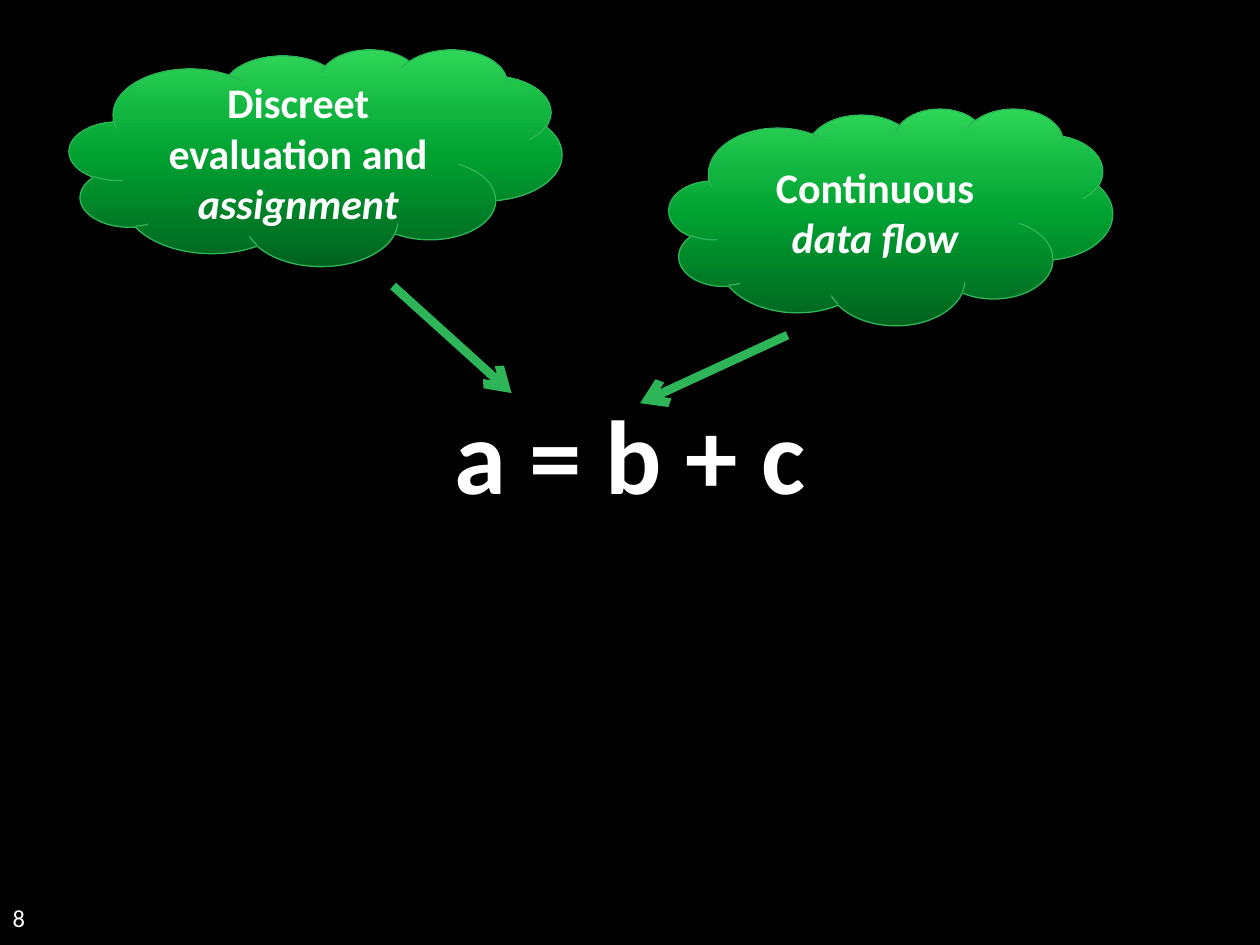
from dataclasses import dataclass
from lxml.etree import SubElement as Sub
from pptx import Presentation as Deck
from pptx.dml.color import RGBColor as Rgb
from pptx.enum.shapes import MSO_CONNECTOR as Link, MSO_SHAPE as Form
from pptx.enum.text import MSO_ANCHOR as Anchor, PP_ALIGN as Align
from pptx.oxml.ns import qn
from pptx.util import Inches, Pt


@dataclass(frozen=True)
class Theme:
    font: str = "Calibri"
    back: str = "000000"
    text: str = "FFFFFF"
    edge: str = "2DB557"
    fade: tuple = ((0, "00631F"), (50, "00A031"), (70, "10B43F"), (100, "2FD758"))
    small: int = 14
    label: int = 24
    large: int = 60
    thin: float = 0.75
    thick: float = 5


class Board:
    cols, rows = 100, 75

    def __init__(self, deck, theme):
        self.theme = theme
        self.wide = deck.slide_width / self.cols
        self.high = deck.slide_height / self.rows
        self.slide = deck.slides.add_slide(deck.slide_layouts[6])
        fill = self.slide.background.fill
        fill.solid()
        fill.fore_color.rgb = Rgb.from_string(theme.back)

    def place(self, *cells):
        units = (self.wide, self.high) * 2
        return [round(cell * unit) for cell, unit in zip(cells, units)]

    def letter(self, frame, lines, size, anchor, align, bold=True):
        frame.word_wrap = True
        frame.vertical_anchor = anchor
        for i, line in enumerate(lines):
            para = frame.add_paragraph() if i else frame.paragraphs[0]
            para.alignment = align
            for words, slant in line:
                run = para.add_run()
                run.text = words
                font = run.font
                font.name, font.size = self.theme.font, Pt(size)
                font.bold, font.italic = bold, slant
                font.color.rgb = Rgb.from_string(self.theme.text)

    def edge(self, line, width):
        line.width = Pt(width)
        line.color.rgb = Rgb.from_string(self.theme.edge)

    def text(self, cells, words, size, anchor, align, bold=True):
        frame = self.slide.shapes.add_textbox(*self.place(*cells)).text_frame
        frame.margin_left = frame.margin_right = 0
        frame.margin_top = frame.margin_bottom = 0
        self.letter(frame, [[(words, False)]], size, anchor, align, bold)
        return frame

    def cloud(self, cells, lines):
        shape = self.slide.shapes.add_shape(Form.CLOUD, *self.place(*cells))
        shape.shadow.inherit = False
        shape.fill.gradient()
        shape.fill.gradient_angle = 90
        stops = shape.element.spPr.find(".//" + qn("a:gsLst"))
        stops.clear()
        for share, tone in self.theme.fade:
            stop = Sub(stops, qn("a:gs"), pos=str(share * 1000))
            Sub(stop, qn("a:srgbClr"), val=tone)
        self.edge(shape.line, self.theme.thin)
        self.letter(shape.text_frame, lines, self.theme.label,
                    Anchor.MIDDLE, Align.CENTER)

    def arrow(self, *cells):
        line = self.slide.shapes.add_connector(Link.STRAIGHT, *self.place(*cells))
        self.edge(line.line, self.theme.thick)
        props = line.element.spPr
        Sub(props.find(qn("a:ln")), qn("a:tailEnd"), type="arrow")
        Sub(props, qn("a:effectLst"))


def main():
    deck = Deck()
    deck.slide_width, deck.slide_height = Inches(10), Inches(7.5)
    theme = Theme()
    board = Board(deck, theme)
    board.text((1, 70, 23.3, 4), "8", theme.small, Anchor.BOTTOM, Align.LEFT, False)
    body = board.text((5, 6.2, 90, 60.7), "a = b + c", theme.large,
                      Anchor.MIDDLE, Align.CENTER)
    body.paragraphs[0].line_spacing = 0.9
    board.arrow(31.2, 22.7, 40.6, 31.2)
    board.cloud((5.5, 3.9, 39.1, 17.2),
                [[("Discreet evaluation and ", False), ("assignment", True)]])
    board.cloud((53.1, 8.6, 35.2, 17.2),
                [[("Continuous", False)], [("data flow", True)]])
    board.arrow(62.5, 26.6, 50.8, 32)
    deck.save("out.pptx")


if __name__ == "__main__":
    main()
